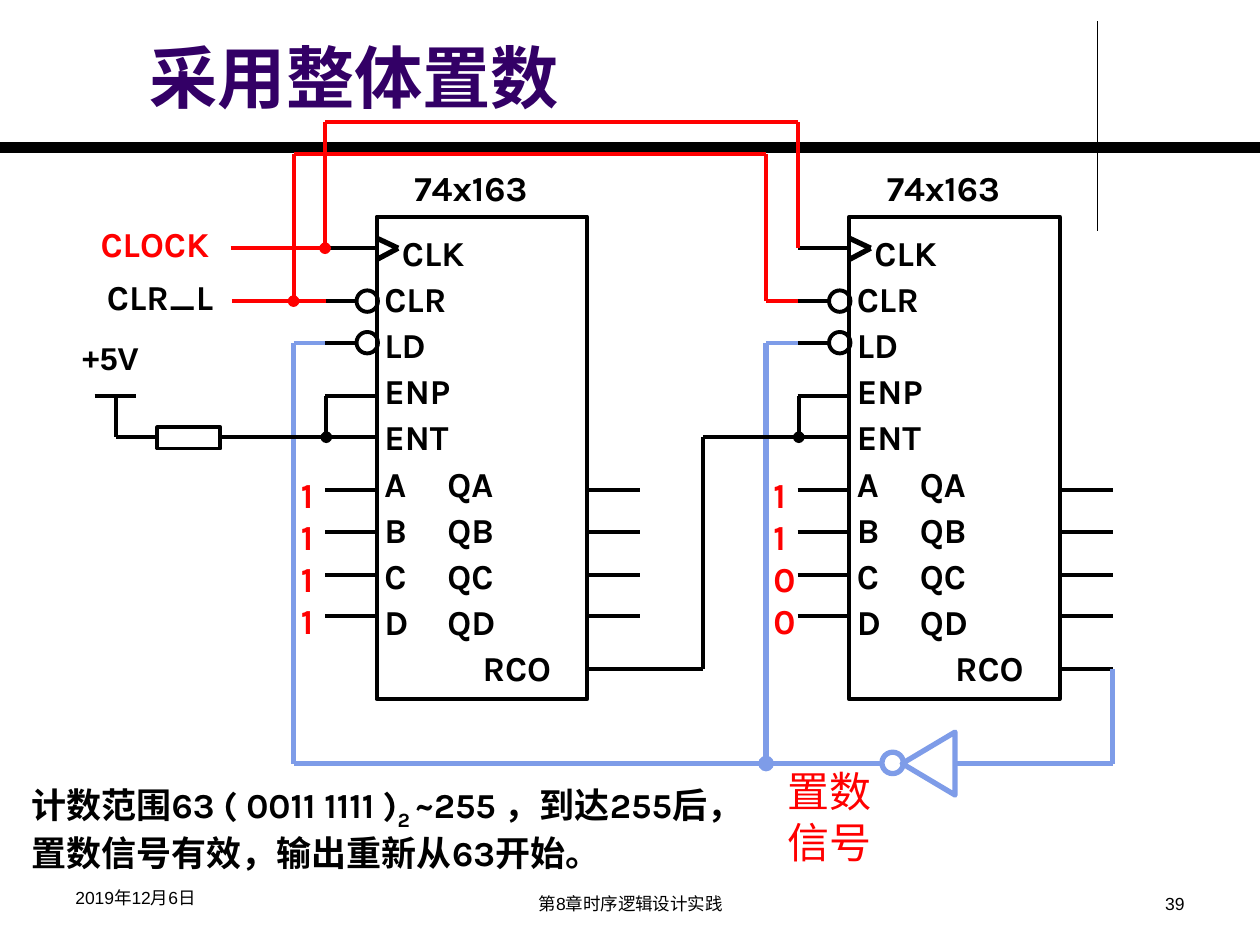
from dataclasses import dataclass

from lxml import etree
from pptx import Presentation
from pptx.dml.color import RGBColor
from pptx.enum.shapes import MSO_CONNECTOR, MSO_SHAPE
from pptx.enum.text import MSO_ANCHOR, PP_ALIGN
from pptx.oxml.ns import qn
from pptx.util import Inches, Pt

STRAIGHT = MSO_CONNECTOR.STRAIGHT
RECTANGLE, OVAL = MSO_SHAPE.RECTANGLE, MSO_SHAPE.OVAL
TRIANGLE = MSO_SHAPE.ISOSCELES_TRIANGLE
TOP, MIDDLE = MSO_ANCHOR.TOP, MSO_ANCHOR.MIDDLE
LEFT, CENTER, RIGHT = PP_ALIGN.LEFT, PP_ALIGN.CENTER, PP_ALIGN.RIGHT


@dataclass(frozen=True)
class Theme:
    black: str = "000000"
    red: str = "FF0000"
    blue: str = "7E9CE8"
    purple: str = "330066"
    body_font: str = "Arial"
    label_font: str = "Karla"
    title_size: int = 39
    signal_size: int = 24
    label_size: int = 20
    supply_size: int = 18
    footer_size: int = 10
    wire: float = 2.25
    bold_wire: float = 3


THEME = Theme()
LABEL = {"name": THEME.label_font, "size": THEME.label_size, "bold": True, "color": THEME.black}
RED_LABEL = {**LABEL, "color": THEME.red}
SUPPLY = {**LABEL, "name": THEME.body_font, "size": THEME.supply_size}
TITLE = {**SUPPLY, "size": THEME.title_size, "color": THEME.purple}
SIGNAL = {**SUPPLY, "size": THEME.signal_size, "bold": False, "color": THEME.red}
FOOTER = {**SUPPLY, "size": THEME.footer_size, "bold": False}

CHIP_LEFTS = (2.99, 6.74)
CHIP_TOP, CHIP_WIDTH, CHIP_HEIGHT = 1.72, 1.67, 3.83
PIN_LENGTH = 0.41
BUBBLE = 0.17
CLOCK_Y, CLEAR_Y, LOAD_Y, ENP_Y, ENT_Y, CARRY_Y = 1.97, 2.39, 2.72, 3.14, 3.47, 5.31
DATA_YS = (3.89, 4.22, 4.56, 4.89)
FEEDBACK_Y = 6.06
# Label and left indent; a tab leads to the output column.
PIN_LABELS = [("CLK", 0.14), ("CLR", 0), ("LD", 0), ("ENP", 0), ("ENT", 0),
              ("A\tQA", 0), ("B\tQB", 0), ("C\tQC", 0), ("D\tQD", 0), ("RCO", 0.78)]
OUTPUT_TAB = 0.95


def add_run(paragraph, text, style):
    run = paragraph.add_run()
    run.text = text
    for key, value in style.items():
        if key == "color":
            run.font.color.rgb = RGBColor.from_string(value)
        else:
            setattr(run.font, key, Pt(value) if key == "size" else value)
    return run


def add_text(slide, box, lines, style, wrap=True, align=LEFT, anchor=TOP):
    frame = slide.shapes.add_textbox(*map(Inches, box)).text_frame
    frame.word_wrap = wrap
    frame.vertical_anchor = anchor
    for index, line in enumerate(lines):
        paragraph = frame.add_paragraph() if index else frame.paragraphs[0]
        paragraph.alignment = align
        add_run(paragraph, line, style)
    return frame


def add_wire(slide, points, color=THEME.black, width=THEME.wire, dot=False):
    """Join the points with straight lines; dot marks a junction at the last one."""
    for start, end in zip(points, points[1:]):
        line = slide.shapes.add_connector(STRAIGHT, *map(Inches, (*start, *end)))
        line.line.color.rgb = RGBColor.from_string(color)
        line.line.width = Pt(width)
        if dot and end == points[-1]:
            outline = line.line._get_or_add_ln()
            etree.SubElement(outline, qn("a:tailEnd"), type="oval")
        etree.SubElement(line._element.spPr, qn("a:effectLst"))


def add_outline(slide, kind, box, color=THEME.black, width=THEME.wire):
    shape = slide.shapes.add_shape(kind, *map(Inches, box))
    shape.shadow.inherit = False
    shape.fill.background()
    shape.line.color.rgb = RGBColor.from_string(color)
    shape.line.width = Pt(width)
    return shape


def add_pin_labels(chip):
    frame = chip.text_frame
    frame.word_wrap = True
    frame.vertical_anchor = MIDDLE
    frame.margin_left = Inches(0.06)
    for index, (label, indent) in enumerate(PIN_LABELS):
        paragraph = frame.add_paragraph() if index else frame.paragraphs[0]
        paragraph.alignment = LEFT
        paragraph.line_spacing = 1.1
        properties = paragraph._p.get_or_add_pPr()
        properties.set("marL", str(Inches(indent)))
        properties.set("indent", "0")
        if "\t" in label:
            tabs = etree.SubElement(properties, qn("a:tabLst"))
            etree.SubElement(tabs, qn("a:tab"), pos=str(Inches(OUTPUT_TAB)), algn="l")
        add_run(paragraph, label, LABEL)


def add_counter(slide, left, preset):
    """Draw one counter chip with its pins and the data bits on its inputs."""
    right, pin = left + CHIP_WIDTH, left - PIN_LENGTH
    chip = add_outline(slide, RECTANGLE, (left, CHIP_TOP, CHIP_WIDTH, CHIP_HEIGHT))
    add_pin_labels(chip)
    add_wire(slide, [(left, 1.89), (left + 0.17, CLOCK_Y), (left, 2.06)], width=THEME.bold_wire)
    for y in (CLEAR_Y, LOAD_Y):
        add_outline(slide, OVAL, (left - 0.16, y - BUBBLE / 2, BUBBLE, BUBBLE))
        add_wire(slide, [(pin, y), (left - 0.16, y)])
    for y in (CLOCK_Y, ENP_Y, ENT_Y, *DATA_YS):
        add_wire(slide, [(pin, y), (left, y)])
    for y in (*DATA_YS, CARRY_Y):
        add_wire(slide, [(right, y), (right + 0.42, y)])
    add_wire(slide, [(pin + 0.01, ENP_Y), (pin + 0.01, ENT_Y)], dot=True)
    add_text(slide, (left + 0.2, 1.27, 1.26, 0.43), ["74x163"], LABEL, wrap=False)
    add_text(slide, (left - 0.7, 3.71, 0.38, 1.43), preset, RED_LABEL, wrap=False)


def add_load_feedback(slide):
    style = {"color": THEME.blue, "width": THEME.bold_wire}
    for x in (2.33, 6.08):
        add_wire(slide, [(x, LOAD_Y), (x + 0.25, LOAD_Y)], THEME.blue)
        add_wire(slide, [(x, LOAD_Y), (x, FEEDBACK_Y)], dot=x > 6, **style)
    add_wire(slide, [(2.33, FEEDBACK_Y), (7, FEEDBACK_Y)], **style)
    add_outline(slide, OVAL, (7, 5.97, BUBBLE, BUBBLE), **style)
    inverter = add_outline(slide, TRIANGLE, (7.12, 5.85, 0.5, 0.42), **style)
    inverter.rotation = 270
    add_wire(slide, [(8.83, CARRY_Y), (8.83, FEEDBACK_Y), (7.58, FEEDBACK_Y)], **style)


def add_supply(slide):
    add_wire(slide, [(0.75, ENP_Y), (1.08, ENP_Y)])
    add_wire(slide, [(0.92, ENP_Y), (0.92, ENT_Y), (1.25, ENT_Y)])
    add_outline(slide, RECTANGLE, (1.25, 3.39, 0.5, 0.17))
    add_wire(slide, [(1.75, ENT_Y), (2.58, ENT_Y)])
    add_text(slide, (0.55, 2.64, 0.7, 0.5), ["+5V"], SUPPLY, wrap=False)


def add_clock_and_clear(slide):
    red = THEME.red
    add_wire(slide, [(1.83, CLOCK_Y), (2.58, CLOCK_Y)], red)
    add_wire(slide, [(6.33, CLOCK_Y), (6.33, 0.97), (2.58, 0.97), (2.58, CLOCK_Y)], red, dot=True)
    add_wire(slide, [(1.84, CLEAR_Y), (2.59, CLEAR_Y)], red)
    add_wire(slide, [(6.33, CLEAR_Y), (6.08, CLEAR_Y), (6.08, 1.22), (2.33, 1.22),
                     (2.33, CLEAR_Y)], red, dot=True)
    add_text(slide, (0.7, 1.72, 1.14, 0.43), ["CLOCK"], RED_LABEL, wrap=False)
    add_text(slide, (0.75, 2.14, 1.09, 0.43), ["CLR_L"], LABEL, wrap=False)


def add_explanation(slide):
    frame = add_text(slide, (0.15, 6.17, 5.77, 0.77), ["计数范围63 ( 0011 1111 )"], LABEL)
    paragraph = frame.paragraphs[0]
    subscript = add_run(paragraph, "2 ", LABEL)
    subscript.font._element.set("baseline", "-25000")
    add_run(paragraph, "~255 ，到达255后，置数信号有效，输出重新从63开始。", LABEL)
    add_text(slide, (6.15, 6.03, 0.93, 0.91), ["置数信号"], SIGNAL)


def add_footer(slide):
    add_text(slide, (0.5, 6.99, 2.33, 0.34), ["2019年12月6日"], FOOTER)
    add_text(slide, (3.42, 7.04, 3.17, 0.29), ["第8章时序逻辑设计实践"], FOOTER, align=CENTER)
    add_text(slide, (7.17, 7.04, 2.33, 0.29), ["39"], FOOTER, align=RIGHT)


def main():
    presentation = Presentation()
    presentation.slide_width, presentation.slide_height = Inches(10), Inches(7.5)
    slide = presentation.slides.add_slide(presentation.slide_layouts[6])
    add_wire(slide, [(8.71, 0.17), (8.71, 1.83)], width=0.75)
    add_wire(slide, [(0, 1.17), (10, 1.17)], width=6)
    for left, preset in zip(CHIP_LEFTS, ("1111", "1100")):
        add_counter(slide, left, preset)
    add_load_feedback(slide)
    add_supply(slide)
    add_wire(slide, [(5, CARRY_Y), (5.58, CARRY_Y), (5.58, ENT_Y), (6.33, ENT_Y)])
    add_clock_and_clear(slide)
    add_footer(slide)
    add_text(slide, (1.09, 0.2, 7.55, 0.81), ["采用整体置数"], TITLE, anchor=MIDDLE)
    add_explanation(slide)
    presentation.save("out.pptx")


if __name__ == "__main__":
    main()
